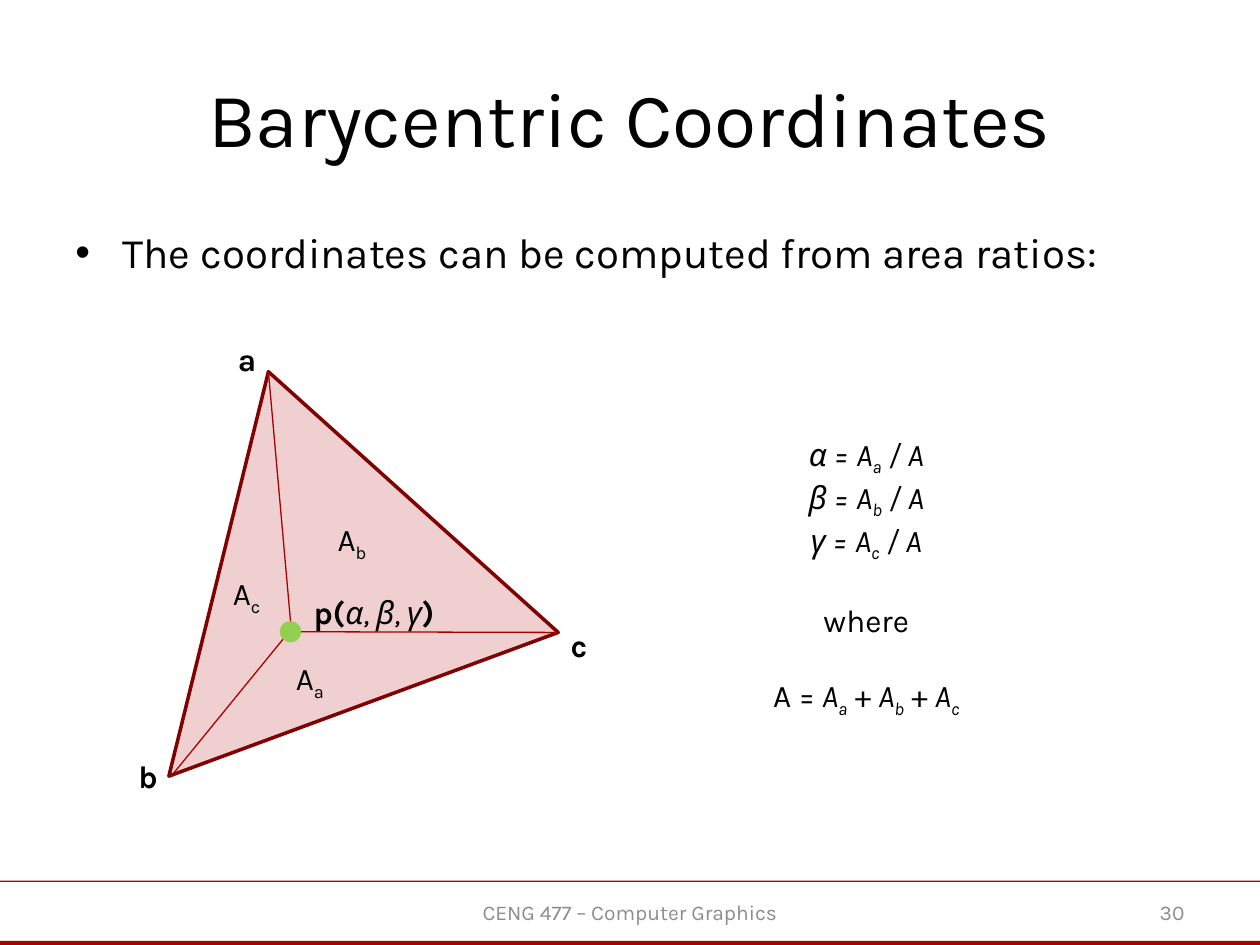
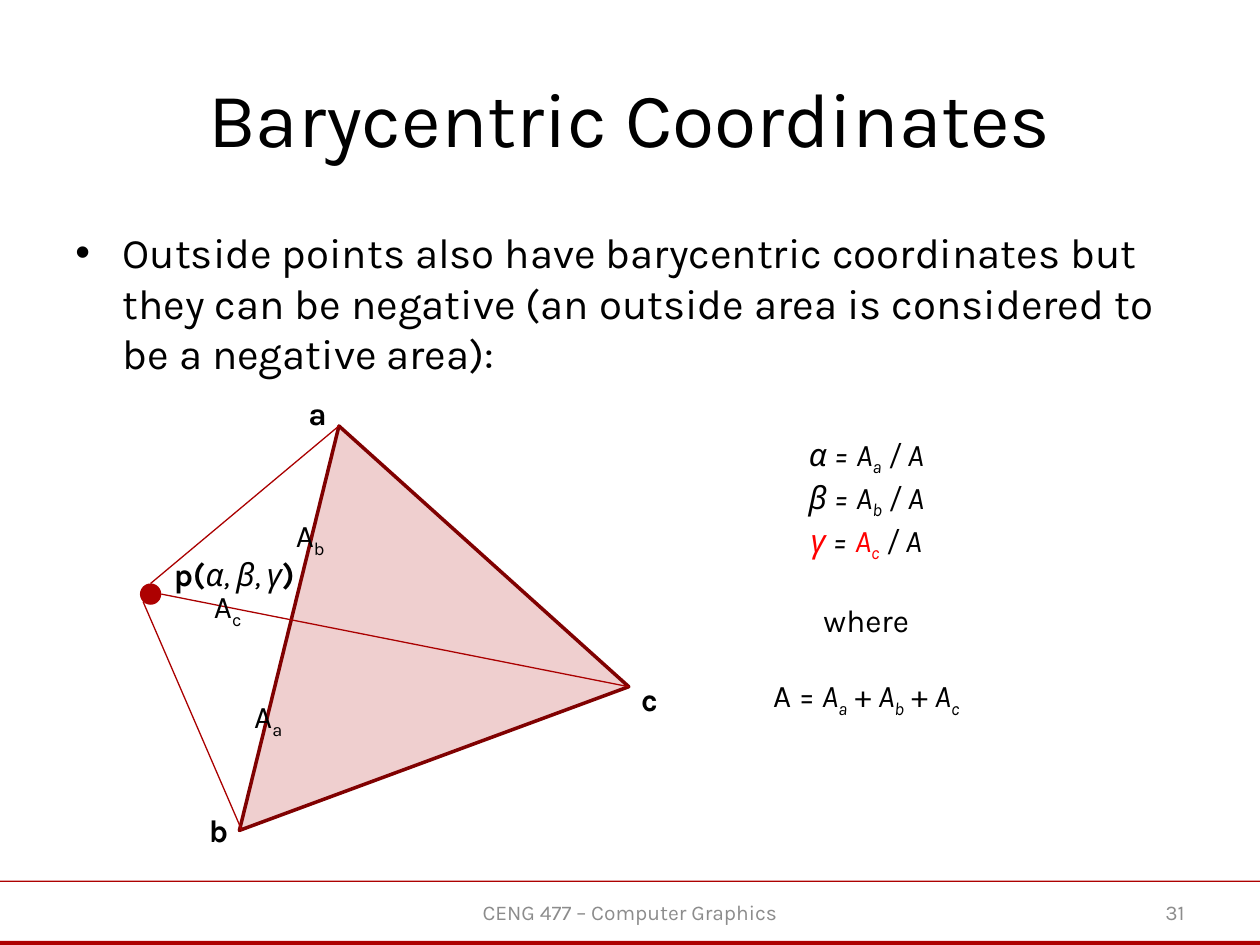
from dataclasses import dataclass

from lxml.etree import SubElement
from pptx import Presentation
from pptx.dml.color import RGBColor as RGB
from pptx.enum.shapes import MSO_CONNECTOR as Link, MSO_SHAPE as Preset
from pptx.enum.text import MSO_ANCHOR as Anchor, MSO_AUTO_SIZE as Fit, PP_ALIGN as Align
from pptx.oxml.ns import qn
from pptx.util import Pt


@dataclass(frozen=True)
class Theme:
    font: str = "Karla"
    ink: RGB = RGB(0x00, 0x00, 0x00)
    muted: RGB = RGB(0x8C, 0x8C, 0x8C)
    accent: RGB = RGB(0xAD, 0x01, 0x01)
    edge: RGB = RGB(0x80, 0x01, 0x01)
    spoke: RGB = RGB(0xAA, 0x00, 0x00)
    inside: RGB = RGB(0x92, 0xD0, 0x50)
    negative: RGB = RGB(0xFF, 0x00, 0x00)
    title: Pt = Pt(44)
    body: Pt = Pt(24)
    label: Pt = Pt(18)
    footer: Pt = Pt(12)


theme = Theme()

# Run styles: b bold, i italic, s subscript, r negative (red)
plain, bold, italic, sub = "", "b", "i", "is"


def add_text(slide, box, lines, size, color=theme.ink, align=Align.LEFT,
             anchor=Anchor.TOP, wrap=True):
    """Lines are lists of (text, style) runs; returns the text frame."""
    frame = slide.shapes.add_textbox(*map(Pt, box)).text_frame
    frame_format = {"word_wrap": wrap, "vertical_anchor": anchor,
                    "auto_size": Fit.NONE if wrap else Fit.SHAPE_TO_FIT_TEXT}
    for name, value in frame_format.items():
        setattr(frame, name, value)
    for index, runs in enumerate(lines):
        line = frame.add_paragraph() if index else frame.paragraphs[0]
        line.alignment = align
        for words, style in runs:
            run = line.add_run()
            run.text = words
            font_format = {"name": theme.font, "size": size,
                           "bold": "b" in style, "italic": "i" in style}
            for name, value in font_format.items():
                setattr(run.font, name, value)
            run.font.color.rgb = theme.negative if "r" in style else color
            if "s" in style:
                run.font._element.set("baseline", "-25000")
    return frame


def add_filled(slide, preset, box, color):
    shape = slide.shapes.add_shape(preset, *map(Pt, box))
    shape.shadow.inherit = False
    shape.fill.solid()
    shape.fill.fore_color.rgb = color
    shape.line.fill.background()


# Content of each slide; the triangle is placed by its corner a
pages = [
    {"number": "30",
     "statement": "The coordinates can be computed from area ratios:",
     "corner_a": (153.4, 212.4), "point": (166, 361), "point_color": theme.inside,
     "areas": {"a": (162, 373), "b": (185.8, 293.8), "c": (126, 324.7)},
     "negative": ""},
    {"number": "31",
     "statement": "Outside points also have barycentric coordinates but they can be "
                  "negative (an outside area is considered to be a negative area):",
     "corner_a": (193.7, 243.4), "point": (86.1, 339.5), "point_color": theme.accent,
     "areas": {"a": (138.2, 394.6), "b": (162, 291.6), "c": (115.2, 331.9)},
     "negative": "c"},
]
from_a = {"a": (0, 0), "b": (-56.9, 231.1), "c": (165.6, 149)}
label_shift = {"a": (-24.5, -21.6), "b": (-24.5, -14.4), "c": (0, -7.2)}
radius = 6.1
diagonal = radius * 0.71
spoke_end = {"a": (0, -radius), "b": (-diagonal, diagonal), "c": (radius, 0)}
ratios = {"a": "α", "b": "β", "c": "γ"}

deck = Presentation()
deck.slide_width, deck.slide_height = Pt(720), Pt(540)

for page in pages:
    slide = deck.slides.add_slide(deck.slide_layouts[6])

    # Footer rules, course name and page number
    for top, height in ((503.2, 0.8), (537.7, 2.3)):
        add_filled(slide, Preset.RECTANGLE, (0, top, 720, height), theme.accent)
    for left, width, words, align in (
            (246, 228, "CENG 477 – Computer Graphics", Align.CENTER),
            (516, 168, page["number"], Align.RIGHT)):
        add_text(slide, (left, 507, width, 28.8), [[(words, plain)]], theme.footer,
                 theme.muted, align, Anchor.MIDDLE)

    # Title and bulleted statement
    add_text(slide, (36, 21.6, 648, 90), [[("Barycentric Coordinates", plain)]],
             theme.title, align=Align.CENTER, anchor=Anchor.MIDDLE)
    statement = add_text(slide, (36, 126, 648, 356.4), [[(page["statement"], plain)]],
                         theme.body)
    bullet = statement.paragraphs[0]._p.get_or_add_pPr()
    bullet.set("marL", str(Pt(27)))
    bullet.set("indent", str(-Pt(27)))
    SubElement(bullet, qn("a:buFont")).set("typeface", "Arial")
    SubElement(bullet, qn("a:buChar")).set("char", "•")

    # Triangle
    a_x, a_y = page["corner_a"]
    corners = {key: (a_x + dx, a_y + dy) for key, (dx, dy) in from_a.items()}
    outline = slide.shapes.build_freeform(Pt(a_x), Pt(a_y))
    outline.add_line_segments([(Pt(x), Pt(y)) for x, y in list(corners.values())[1:]])
    triangle = outline.convert_to_shape()
    triangle.shadow.inherit = False
    triangle.fill.solid()
    triangle.fill.fore_color.rgb = theme.accent
    tint = triangle.fill._xPr.find(qn("a:solidFill"))[0]
    SubElement(tint, qn("a:alpha")).set("val", "19000")
    triangle.line.color.rgb = theme.edge
    triangle.line.width = Pt(2)

    # Corner names
    for key, (x, y) in corners.items():
        dx, dy = label_shift[key]
        add_text(slide, (x + dx, y + dy, 24.5, 28.8), [[(key, bold)]], theme.label,
                 wrap=False)

    # Point p
    p_x, p_y = page["point"]
    add_filled(slide, Preset.OVAL, (p_x - radius, p_y - radius, 2 * radius, 2 * radius),
               page["point_color"])
    add_text(slide, (p_x + radius, p_y - 25.6, 87.8, 28.8),
             [[("p(", bold), ("α, β, γ", italic), (")", bold)]], theme.label, wrap=False)

    # Spokes from the corners to p
    for key, (x, y) in corners.items():
        dx, dy = spoke_end[key]
        start_x = x + 1.4 if key == "b" else x
        spoke = slide.shapes.add_connector(
            Link.STRAIGHT, *map(Pt, (start_x, y, p_x + dx, p_y + dy)))
        spoke.line.color.rgb = theme.spoke
        spoke.line.width = Pt(0.75)
        SubElement(spoke._element.spPr, qn("a:effectLst"))

    # Area names
    for key, (x, y) in page["areas"].items():
        add_text(slide, (x, y, 36, 28.8), [[("A", plain), (key, "s")]], theme.label)

    # Area ratios and their sum
    formulas = []
    for key, greek in ratios.items():
        mark = "r" if key == page["negative"] else ""
        formulas.append([(greek, italic + mark), (" = ", italic), ("A", italic + mark),
                         (key, sub + mark), (" / A", italic)])
    total = [("A =", plain)]
    for key in ratios:
        if key != "a":
            total.append((" +", plain))
        total += [(" A", italic), (key, sub)]
    formulas += [[("where", plain)], total]
    equations = add_text(slide, (375, 244.8, 240, 159.8), formulas, theme.label,
                         align=Align.CENTER)
    for line in equations.paragraphs[-2:]:
        line.space_before = Pt(21.4)

deck.save("out.pptx")
